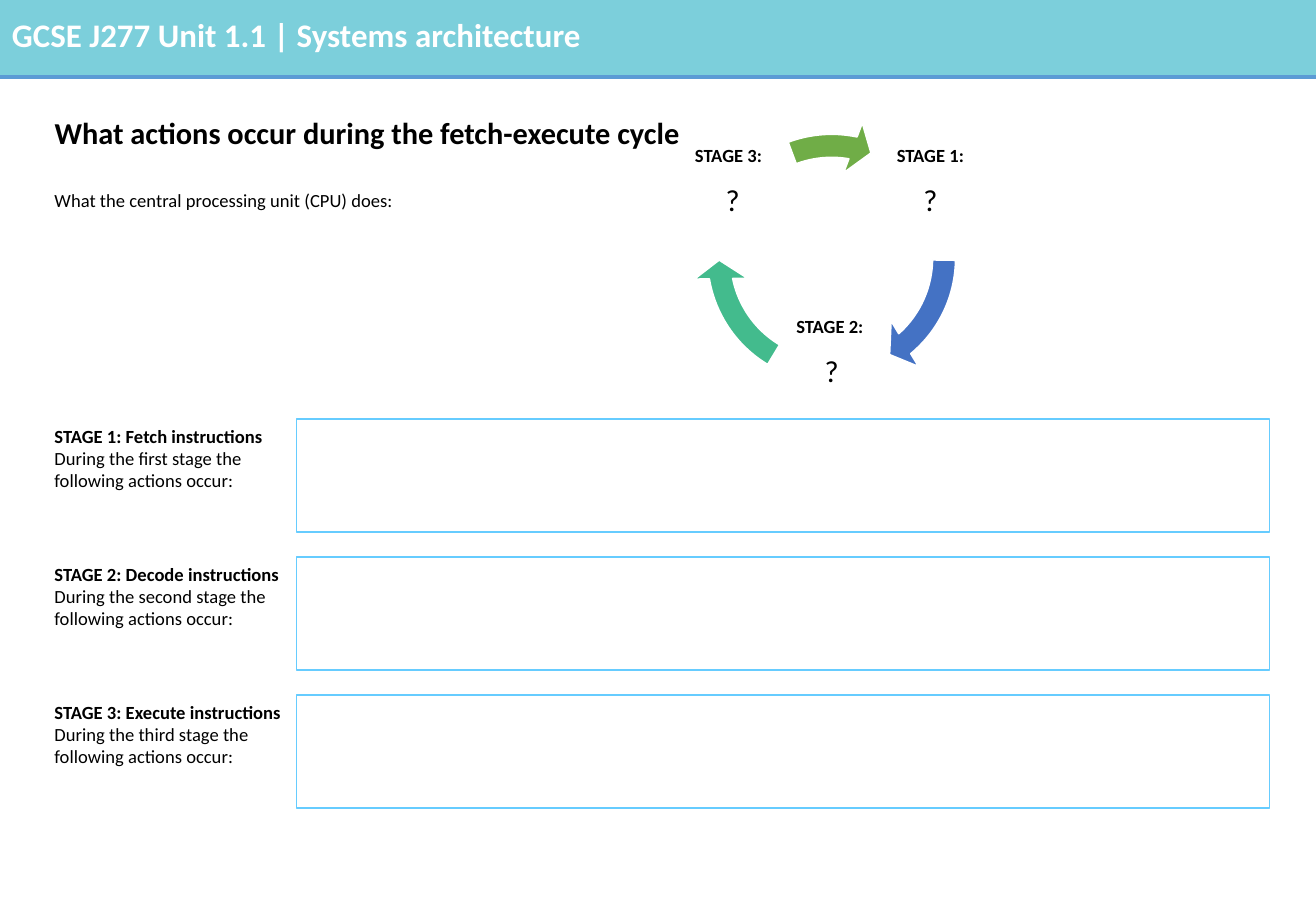
import math
from lxml import etree
from pptx import Presentation
from pptx.dml.color import RGBColor
from pptx.enum import shapes, text
from pptx.oxml import ns
from pptx.util import Pt

TEAL = RGBColor(0x7C, 0xCF, 0xDB)
RULE_BLUE = RGBColor(0x5B, 0x9B, 0xD5)
BOX_BLUE = RGBColor(0x66, 0xCC, 0xFF)
WHITE = RGBColor(0xFF, 0xFF, 0xFF)
BLACK = RGBColor(0, 0, 0)
ARROW_BLUE = RGBColor(0x44, 0x72, 0xC4)
ARROW_JADE = RGBColor(0x43, 0xBB, 0x8D)
ARROW_GREEN = RGBColor(0x70, 0xAD, 0x47)

FONT = "Calibri"
CYCLE = [
    ("STAGE 1:", -30, 1, ARROW_BLUE, 29.624, 0.527),
    ("STAGE 2:", 90, 0, ARROW_JADE, 101.709, 72.611),
    ("STAGE 3:", 210, -1.5, ARROW_GREEN, 168.554, 149.682),
]
STAGES = [
    ("STAGE 1: Fetch instructions", "first"),
    ("STAGE 2: Decode instructions", "second"),
    ("STAGE 3: Execute instructions", "third"),
]


def add_run(p, words, size, color=BLACK, bold=False):
    """Append one formatted run to a paragraph."""
    r = p.add_run()
    r.text = words
    r.font.name, r.font.size, r.font.bold = FONT, Pt(size), bold
    r.font.color.rgb = color


def add_text(s, x, y, w, h, words, size, wrap=True, align=text.PP_ALIGN.LEFT, **style):
    """Add a text box holding one run and return its shape."""
    sp = s.shapes.add_textbox(Pt(x), Pt(y), Pt(w), Pt(h))
    tf = sp.text_frame
    tf.word_wrap = wrap
    p = tf.paragraphs[0]
    p.alignment = align
    add_run(p, words, size, **style)
    return sp


def add_shape(s, kind, x, y, w, h, fill=None, line=None):
    """Add a flat preset shape with an optional fill and outline."""
    sp = s.shapes.add_shape(kind, Pt(x), Pt(y), Pt(w), Pt(h))
    sp.shadow.inherit = False
    if fill is None:
        sp.fill.background()
    else:
        sp.fill.solid()
        sp.fill.fore_color.rgb = fill
    if line is None:
        sp.line.fill.background()
    else:
        sp.line.color.rgb = line
        sp.line.width = Pt(1)
    return sp


def add_header(s, x, y, w, h):
    """Draw the unit banner and its lower rule."""
    add_shape(s, shapes.MSO_SHAPE.RECTANGLE, x, y, w, h, fill=TEAL)
    rule = s.shapes.add_connector(
        shapes.MSO_CONNECTOR.STRAIGHT, Pt(x), Pt(y + h), Pt(x + w), Pt(y + h))
    rule.line.color.rgb = RULE_BLUE
    rule.line.width = Pt(2.25)
    etree.SubElement(rule._element.spPr, ns.qn("a:effectLst"))
    add_text(s, x, y + 5, w - 98, 31, "GCSE J277 Unit 1.1 | Systems architecture",
             19.5, color=WHITE, bold=True)


def add_title(s, x, y, w, h):
    """Place and format the title placeholder."""
    sp = s.shapes.title
    sp.left, sp.top, sp.width, sp.height = Pt(x), Pt(y), Pt(w), Pt(h)
    tf = sp.text_frame
    tf.auto_size = text.MSO_AUTO_SIZE.NONE
    tf.vertical_anchor = text.MSO_ANCHOR.MIDDLE
    p = tf.paragraphs[0]
    p.alignment = text.PP_ALIGN.LEFT
    p.line_spacing = 0.9
    add_run(p, "What actions occur during the fetch-execute cycle", 18, bold=True)


def add_cycle(s, x, y, size):
    """Draw three arrows on a ring with a labelled question mark between them."""
    radius, node = 0.41 * size, 70
    for label, angle, shift, color, end, start in CYCLE:
        cx = x + size / 2 + radius * math.cos(math.radians(angle))
        cy = y + size / 2 + radius * math.sin(math.radians(angle))
        sp = add_text(s, cx - node / 2, cy - node / 2, node, node, "?", 18,
                      align=text.PP_ALIGN.CENTER)
        tf = sp.text_frame
        tf.vertical_anchor = text.MSO_ANCHOR.MIDDLE
        tf.margin_left = tf.margin_right = tf.margin_top = tf.margin_bottom = Pt(2)
        tf.paragraphs[0].line_spacing = 0.9
        arrow = add_shape(s, shapes.MSO_SHAPE.CIRCULAR_ARROW, x, y, size, size,
                          fill=color, line=WHITE)
        for i, value in enumerate((0.083, 5.764, end, start, 0.096)):
            arrow.adjustments[i] = value
        add_text(s, cx - 28 + shift, cy - 37.7, 56, 21, label, 11, wrap=False, bold=True)


def add_stage(s, x, y, w, h, heading, ordinal):
    """Draw one stage description beside its empty answer box."""
    label_w = 150.5
    sp = add_text(s, x, y, label_w, 47.5, heading, 11, bold=True)
    p = sp.text_frame.add_paragraph()
    add_run(p, f"During the {ordinal} stage the following actions occur:", 11)
    add_shape(s, shapes.MSO_SHAPE.RECTANGLE, x + label_w, y, w - label_w, h, line=BOX_BLUE)


def main():
    """Build and save the worksheet slide."""
    prs = Presentation()
    prs.slide_width, prs.slide_height = Pt(780), Pt(540)
    s = prs.slides.add_slide(prs.slide_layouts[5])
    add_header(s, 0, 0, 780, 45.6)
    add_title(s, 25.2, 59.8, 727, 40.3)
    add_text(s, 25.2, 108.7, 216.7, 21, "What the central processing unit (CPU) does:",
             11, wrap=False)
    add_cycle(s, 410.4, 70.6, 165)
    for i, (heading, ordinal) in enumerate(STAGES):
        add_stage(s, 25.2, 248.3 + 81.8 * i, 727.2, 67, heading, ordinal)
    prs.save("out.pptx")


if __name__ == "__main__":
    main()
